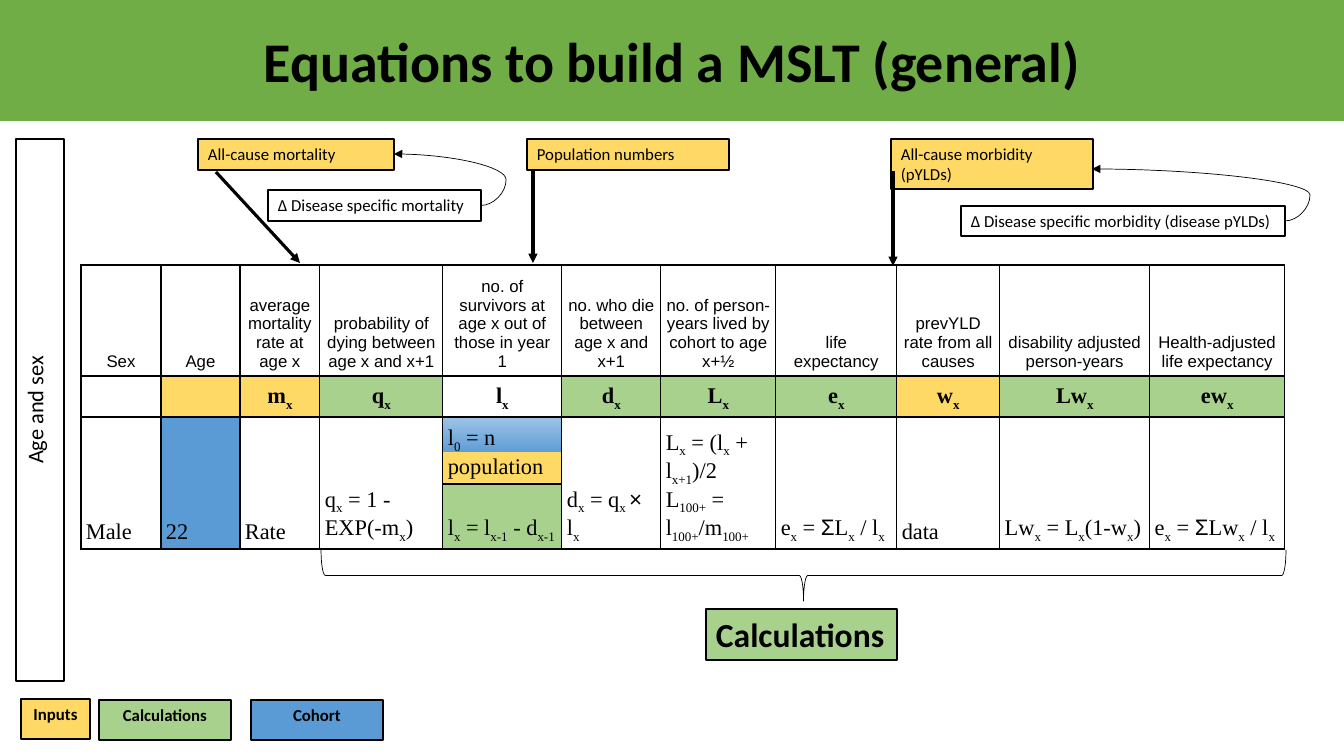
from copy import deepcopy
from dataclasses import dataclass
from itertools import groupby

from pptx import Presentation
from pptx.dml.color import RGBColor
from pptx.enum.shapes import MSO_CONNECTOR as Link, MSO_SHAPE as Shape
from pptx.enum.text import MSO_ANCHOR as Anchor, PP_ALIGN as Align
from pptx.oxml.ns import qn
from pptx.oxml.xmlchemy import OxmlElement
from pptx.util import Emu, Pt

PX_PER_INCH = 100.8


@dataclass(frozen=True)
class Theme:
    black: str = "000000"
    white: str = "FFFFFF"
    banner: str = "70AD47"
    inputs: str = "FFD966"
    calculations: str = "A9D18E"
    cohort: str = "5B9BD5"
    cohort_dark: str = "609ED6"
    cohort_light: str = "9DC3E6"
    sans: str = "Calibri"
    heading: str = "Arial"
    formula: str = "Times New Roman"
    title_size: int = 40
    result_size: int = 24
    large: int = 16
    small: int = 12
    thin: float = 0.5
    outline: float = 1
    thick: float = 2.25


T = Theme()

COLUMN_WIDTHS = [80, 79, 80, 123, 119, 99, 115, 121, 103, 150, 135]
ROW_HEIGHTS = [111, 41, 67, 65]
HEADINGS = [
    "Sex", "Age", "average mortality rate at age x",
    "probability of dying between age x and x+1",
    "no. of survivors at age x out of those in year 1",
    "no. who die between age x and x+1",
    "no. of person-years lived by cohort to age x+½",
    "life expectancy", "prevYLD rate from all causes",
    "disability adjusted person-years", "Health-adjusted life expectancy",
]
# Square brackets hold subscripts.
SYMBOLS = ["", "", "m[x]", "q[x]", "l[x]", "d[x]", "L[x]", "e[x]", "w[x]", "Lw[x]", "ew[x]"]
SYMBOL_FILLS = ([T.white, T.inputs, T.inputs, T.calculations, T.white]
                + [T.calculations] * 3 + [T.inputs] + [T.calculations] * 2)
FORMULAS = [
    "Male", "22", "Rate", "q[x] = 1 - EXP(-m[x])", "l[0] = n\npopulation",
    "d[x] = q[x ]× l[x]", "L[x] = (l[x] + l[x+1])/2\nL[100+] = l[100+]/m[100+]",
    "e[x] = ΣL[x] / l[x]", "data", "Lw[x] = L[x](1-w[x])", "e[x] = ΣLw[x] / l[x]",
]
AGE, SURVIVORS = 1, 4


def px(length):
    return Emu(round(length * 914400 / PX_PER_INCH))


def rgb(value):
    return RGBColor.from_string(value)


def style(paragraph, size, face, bold=False, align=Align.LEFT):
    paragraph.alignment = align
    font = paragraph.font
    font.size, font.name, font.bold = Pt(size), face, bold
    font.color.rgb = rgb(T.black)


def add_box(slide, text, frame, fill, size=T.small, bold=False, align=Align.LEFT,
            anchor=Anchor.TOP, outlined=True):
    box = slide.shapes.add_shape(Shape.RECTANGLE, *map(px, frame))
    box.shadow.inherit = False
    box.fill.solid()
    box.fill.fore_color.rgb = rgb(fill)
    if outlined:
        box.line.color.rgb = rgb(T.black)
        box.line.width = Pt(T.outline)
    else:
        box.line.fill.background()
    body = box.text_frame
    body.word_wrap = True
    body.vertical_anchor = anchor
    body.text = text
    style(body.paragraphs[0], size, T.sans, bold, align)
    return box


def add_arrow(slide, start, end, width, kind=Link.STRAIGHT):
    arrow = slide.shapes.add_connector(kind, *map(px, start + end))
    arrow.line.color.rgb = rgb(T.black)
    arrow.line.width = Pt(width)
    head = OxmlElement("a:tailEnd")
    head.set("type", "triangle")
    arrow.line._get_or_add_ln().append(head)
    arrow._element.spPr.append(OxmlElement("a:effectLst"))
    return arrow


def add_curved_arrow(slide, source, start, end, bend):
    """Curve from the right side of source, bulging by bend thousandths of a percent."""
    arrow = add_arrow(slide, start, end, T.thin, Link.CURVE)
    arrow.begin_connect(source, 3)
    guide = OxmlElement("a:gd")
    guide.set("name", "adj1")
    guide.set("fmla", f"val {bend}")
    arrow._element.spPr.find(qn("a:prstGeom")).get_or_add_avLst().append(guide)


def add_brace(slide, frame):
    brace = slide.shapes.add_shape(Shape.RIGHT_BRACE, *map(px, frame))
    brace.rotation = 90
    brace.shadow.inherit = False
    brace.fill.background()
    brace.line.color.rgb = rgb(T.black)
    brace.line.width = Pt(T.thin)


def write_formula(paragraph, text):
    """Write text with bracketed subscripts, line breaks and sans-serif symbols."""
    for index, part in enumerate(text.replace("]", "[").split("[")):
        for special, letters in groupby(part, lambda ch: ch if ch in "×Σ\n" else ""):
            if special == "\n":
                paragraph.add_line_break()
                continue
            run = paragraph.add_run()
            run.text = "".join(letters)
            if special:
                run.font.name = T.heading
            if index % 2:
                run.font._element.set("baseline", "-25000")


def add_borders(cell):
    properties = cell._tc.get_or_add_tcPr()
    for side in ("L", "R", "T", "B"):
        border = OxmlElement(f"a:ln{side}")
        border.set("w", str(Pt(T.outline)))
        fill = OxmlElement("a:solidFill")
        color = OxmlElement("a:srgbClr")
        color.set("val", T.black)
        fill.append(color)
        border.append(fill)
        properties.append(border)


def fill_cell(cell, text, fill, size, face, bold=False, align=Align.LEFT):
    cell.fill.solid()
    cell.fill.fore_color.rgb = rgb(fill)
    paragraph = cell.text_frame.paragraphs[0]
    style(paragraph, size, face, bold, align)
    write_formula(paragraph, text)


def fill_cohort_over_inputs(cell):
    cell.fill.gradient()
    cell.fill.gradient_angle = 90
    stop_list = cell._tc.tcPr.find(".//" + qn("a:gsLst"))
    stop_list.append(deepcopy(stop_list[0]))
    stops = [(0.47, T.inputs), (0.48, T.cohort_dark), (1, T.cohort_light)]
    for stop, (position, color) in zip(cell.fill.gradient_stops, stops):
        stop.position = position
        stop.color.rgb = rgb(color)


def add_life_table(slide, left, top):
    table = slide.shapes.add_table(
        len(ROW_HEIGHTS), len(COLUMN_WIDTHS), px(left), px(top),
        px(sum(COLUMN_WIDTHS)), px(sum(ROW_HEIGHTS))).table
    table.first_row = table.horz_banding = False
    for column, width in zip(table.columns, COLUMN_WIDTHS):
        column.width = px(width)
    for row, height in zip(table.rows, ROW_HEIGHTS):
        row.height = px(height)
    for cell in table.iter_cells():
        cell.margin_left = cell.margin_right = cell.margin_top = cell.margin_bottom = px(5)
        cell.vertical_anchor = Anchor.BOTTOM
        add_borders(cell)

    for col, heading in enumerate(HEADINGS):
        fill_cell(table.cell(0, col), heading, T.white, T.small, T.heading, align=Align.CENTER)
        fill_cell(table.cell(1, col), SYMBOLS[col], SYMBOL_FILLS[col], T.large, T.formula,
                  True, Align.CENTER)
        fill_cell(table.cell(2, col), FORMULAS[col], T.cohort if col == AGE else T.white,
                  T.large, T.formula)
        if col != SURVIVORS:
            table.cell(2, col).merge(table.cell(3, col))
    fill_cohort_over_inputs(table.cell(2, SURVIVORS))
    fill_cell(table.cell(3, SURVIVORS), "l[x] = l[x-1] - d[x-1]", T.calculations,
              T.large, T.formula)


def main():
    deck = Presentation()
    deck.slide_width, deck.slide_height = px(1344), px(756)
    slide = deck.slides.add_slide(deck.slide_layouts[6])

    add_box(slide, "Equations to build a MSLT (general)", (0, 0, 1344, 121), T.banner,
            T.title_size, True, Align.CENTER, Anchor.MIDDLE, outlined=False)
    age_and_sex = add_box(slide, "Age and sex", (16, 139, 48, 542), T.white, T.large,
                          align=Align.CENTER)
    age_and_sex.text_frame._txBody.bodyPr.set("vert", "vert270")

    add_box(slide, "All-cause mortality", (198, 139, 196, 31), T.inputs)
    add_box(slide, "Population numbers", (527, 139, 202, 31), T.inputs)
    add_box(slide, "All-cause morbidity (pYLDs)", (891, 139, 202, 50), T.inputs)
    mortality = add_box(slide, "Δ Disease specific mortality", (268, 190, 213, 31), T.white)
    morbidity = add_box(slide, "Δ Disease specific morbidity (disease pYLDs)",
                        (961, 206, 324, 30), T.white)
    add_curved_arrow(slide, mortality, (481, 206), (394, 154), -29000)
    add_curved_arrow(slide, morbidity, (1285, 221), (1092, 169), -13000)

    add_life_table(slide, 81, 265)
    for start, end in [((216, 172), (300, 263)), ((533, 171), (533, 263)),
                       ((893, 171), (893, 266))]:
        add_arrow(slide, start, end, T.thick)

    add_brace(slide, (778, 93, 51, 965))
    add_box(slide, "Calculations", (706, 609, 191, 51), T.calculations, T.result_size, True)

    for label, frame, fill in [("Inputs", (21, 699, 69, 40), T.inputs),
                               ("Calculations", (99, 700, 132, 40), T.calculations),
                               ("Cohort", (251, 700, 132, 40), T.cohort)]:
        add_box(slide, label, frame, fill, bold=True, align=Align.CENTER)

    deck.save("out.pptx")


if __name__ == "__main__":
    main()
